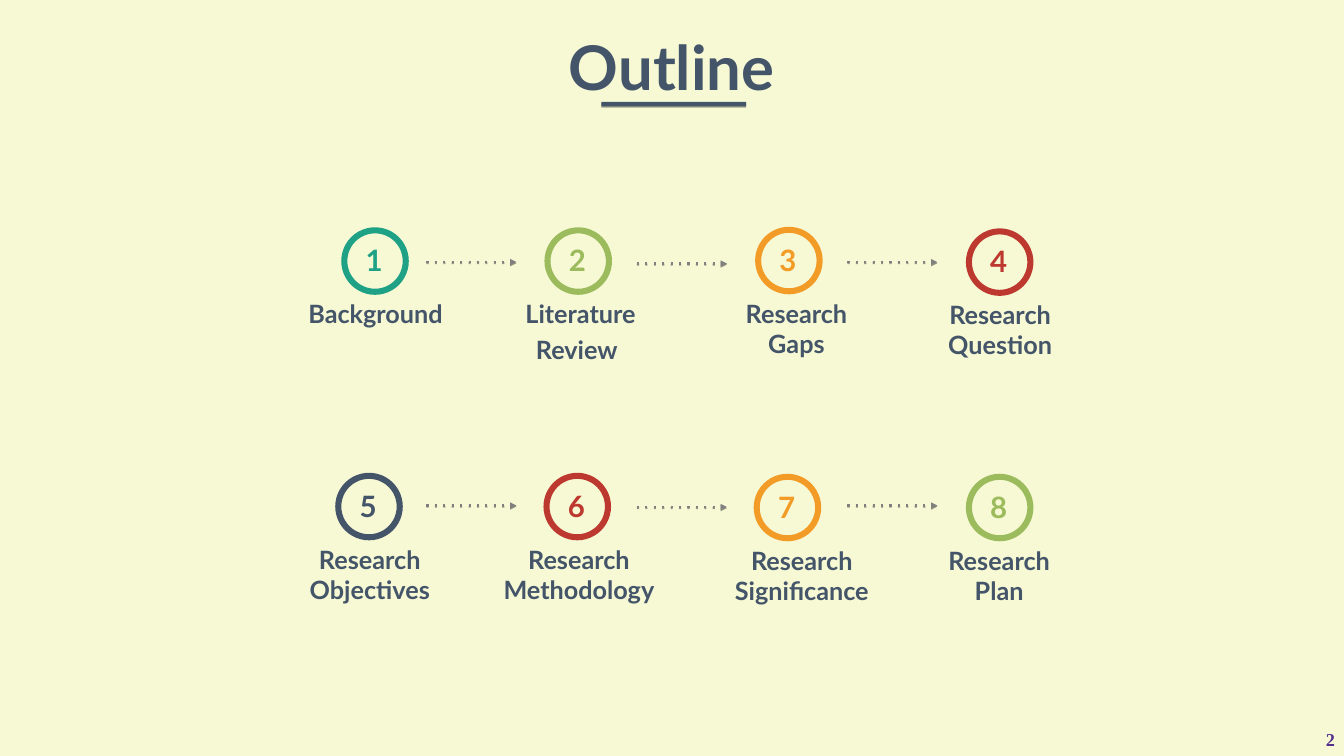
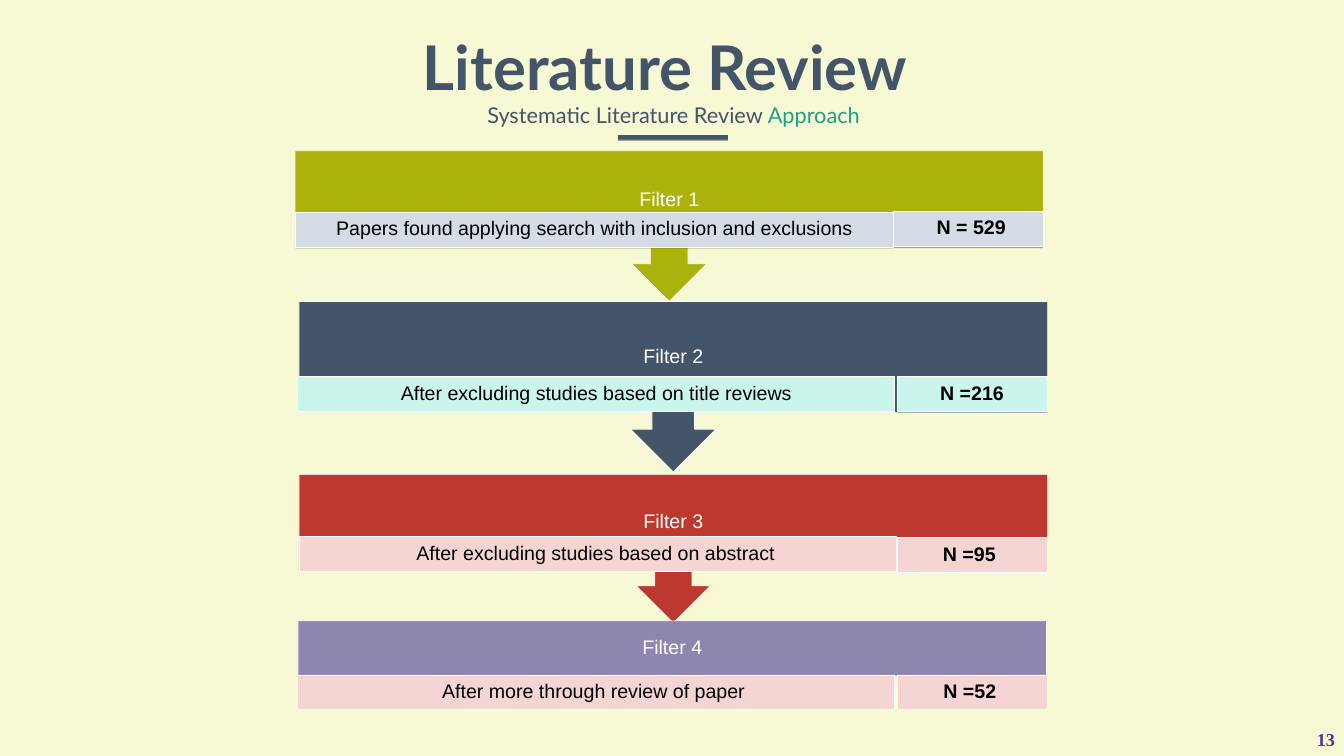
from lxml import etree
from pptx import Presentation
from pptx.dml.color import RGBColor
from pptx.enum.shapes import MSO_CONNECTOR, MSO_SHAPE
from pptx.enum.text import MSO_ANCHOR, PP_ALIGN
from pptx.oxml.ns import qn
from pptx.util import Pt

RECT = MSO_SHAPE.RECTANGLE
RING = MSO_SHAPE.DONUT
CALLOUT = MSO_SHAPE.DOWN_ARROW_CALLOUT
STRAIGHT = MSO_CONNECTOR.STRAIGHT
CENTER = PP_ALIGN.CENTER
RIGHT = PP_ALIGN.RIGHT
TOP = MSO_ANCHOR.TOP
MIDDLE = MSO_ANCHOR.MIDDLE

WIDTH, HEIGHT = 1919.52, 1080
MID = 959.4
HUES = {
    "cream": "F6F9D4", "slate": "445469", "violet": "55308D",
    "teal": "1EA185", "green": "9BBB5C", "orange": "F29B26",
    "red": "BD392F", "gray": "808080", "olive": "ACB20C",
    "mauve": "8E86AE", "white": "FFFFFF", "black": "000000",
    "pink": "F4D5D3", "mint": "C9F5EC", "mist": "D6DCE5",
}

# label, hue, ring left and top, label left and width
STEPS = [
    ("Background", "teal", 487.4, 324.7, 388.8, 295.2),
    ("Literature Review", "green", 777.6, 324.7, 694.1, 270),
    ("Research Gaps", "orange", 1078.5, 324, 1023.8, 227.5),
    ("Research Question", "red", 1379.5, 326.2, 1301, 254.9),
    ("Research\nObjectives", "slate", 478.8, 675.4, 375.8, 304.6),
    ("Research Methodology", "red", 776.2, 675.4, 678.2, 297.4),
    ("Research Significance", "orange", 1076.4, 676.8, 1005.1, 280.1),
    ("Research Plan", "green", 1379.5, 676.8, 1311.1, 231.8),
]
SIZE = 96.5

# name, hue, tint, callout (left, top, height), note (text, left, top, shade),
# count (text, left, top, shade)
FILTERS = [
    ("Filter 3", "red", "pink", (427, 677.5, 212.4),
     ("After excluding studies based on abstract ", 427.7, 766.8, False),
     ("N =95 ", 1280.9, 767.5, False)),
    ("Filter 2", "slate", "mint", (427, 430.6, 243.4),
     ("After excluding studies based on title reviews", 424.8, 537.8, False),
     ("N =216", 1280.9, 537.8, True)),
    ("Filter 1", "olive", "mist", (421.2, 215.3, 215.3),
     ("Papers found applying search with inclusion and exclusions",
      421.9, 303.1, True),
     (" N = 529", 1275.8, 301.7, False)),
    ("Filter 4", "mauve", "pink", (425.5, 887, 121),
     ("After more through review of paper ", 424.8, 964.1, False),
     ("N =52 ", 1281.6, 964.1, False)),
]


def color(hue):
    return RGBColor.from_string(HUES[hue])


def shade(shape, alpha=38, drop=1.6):
    """Give the shape a hard shadow straight below it."""
    props = shape.element.spPr
    effects = props.find(qn("a:effectLst"))
    if effects is None:
        effects = etree.SubElement(props, qn("a:effectLst"))
    cast = etree.SubElement(effects, qn("a:outerShdw"), blurRad="0",
                            dist=str(int(Pt(drop))), dir="5400000",
                            rotWithShape="0")
    tone = etree.SubElement(cast, qn("a:srgbClr"), val=HUES["black"])
    etree.SubElement(tone, qn("a:alpha"), val=str(alpha * 1000))


class Deck:
    def __init__(self):
        self.prs = Presentation()
        self.prs.slide_width = Pt(WIDTH)
        self.prs.slide_height = Pt(HEIGHT)
        self.slide = None

    def page(self, number, title, wide, rule):
        """Start a slide with its number, title and the rule below."""
        self.slide = self.prs.slides.add_slide(self.prs.slide_layouts[6])
        back = self.slide.background.fill
        back.solid()
        back.fore_color.rgb = color("cream")
        self.text(str(number), (1781.3, 1037.5, 132.5, 36), 26, "violet",
                  pad=(7.2, 3.6), face="Times New Roman", align=RIGHT)
        self.text(title, (MID - wide / 2, 38.2, wide, 112.3), 88, "slate",
                  pad=(7.2, 3.6))
        shade(self.shape(RECT, (*rule, 6.5), "slate"), 35, 1.8)

    def label(self, frame, text, size, hue, face, bold, pad,
              align=CENTER, anchor=TOP):
        """Style a text frame and return its last paragraph."""
        frame.word_wrap = True
        frame.vertical_anchor = anchor
        frame.margin_left = frame.margin_right = Pt(pad[0])
        frame.margin_top = frame.margin_bottom = Pt(pad[1])
        frame.text = text
        for para in frame.paragraphs:
            para.alignment = align
            para.font.size = Pt(size)
            para.font.name = face
            para.font.bold = bold
            para.font.color.rgb = color(hue)
        return para

    def text(self, text, box, size, hue, pad=(14.4, 7.2), face="Lato",
             bold=True, align=CENTER):
        """Add a text box and return its last paragraph."""
        frame = self.slide.shapes.add_textbox(*map(Pt, box)).text_frame
        return self.label(frame, text, size, hue, face, bold, pad, align)

    def shape(self, kind, box, hue, edge=0):
        shape = self.slide.shapes.add_shape(kind, *map(Pt, box))
        shape.shadow.inherit = False
        shape.fill.solid()
        shape.fill.fore_color.rgb = color(hue)
        if edge:
            shape.line.color.rgb = color("white")
            shape.line.width = Pt(edge)
        else:
            shape.line.fill.background()
        return shape

    def panel(self, kind, box, hue, text, ink="black", bold=False,
              pad=(15.8, 2.9), shaded=False):
        """Add a white-edged shape with a line of text in it."""
        shape = self.shape(kind, box, hue, 0.5 if shaded else 1)
        if shaded:
            shade(shape)
        para = self.label(shape.text_frame, text, 28, ink, "Arial", bold,
                          pad, anchor=MIDDLE)
        para.line_spacing = 0.9
        para.space_after = Pt(9.8)
        return shape

    def arrow(self, left, top, wide):
        line = self.slide.shapes.add_connector(
            STRAIGHT, Pt(left), Pt(top), Pt(left + wide), Pt(top))
        line.line.color.rgb = color("gray")
        line.line.width = Pt(3)
        stroke = line.element.spPr.find(qn("a:ln"))
        etree.SubElement(stroke, qn("a:prstDash"), val="dot")
        etree.SubElement(stroke, qn("a:tailEnd"), type="triangle")
        shade(line)

    def step(self, number, name, hue, left, top, start, wide):
        """Add a numbered ring with its label below."""
        ring = self.shape(RING, (left, top, SIZE, SIZE), hue)
        ring.adjustments[0] = 0.09
        self.text(str(number), (left + SIZE / 2 - 42, top + 14.5, 81.4, 64.8),
                  42, hue)
        return self.text(name, (start, top + 94.5, wide, 100.8), 36, "slate")


def outline(deck):
    deck.page(2, "Outline", 1648, (859, 145.4, 206.6))
    for number, step in enumerate(STEPS, 1):
        para = deck.step(number, *step)
        if number == 2:
            gap = para.add_run()
            gap.text = " "
            gap.font.size = Pt(44)
    for top in (374.4, 722.2):
        for col in range(3):
            deck.arrow(609.1 + 300.6 * col, top + 2.1 * (col == 1), 128.5)


def review(deck):
    deck.page(13, "Literature Review ", 1253.5, (882.7, 193, 157))
    para = deck.text("Systematic Literature Review ",
                     (370.8, 128.9, 1182.2, 65.5), 31, "slate",
                     pad=(17.3, 8.6), bold=False)
    para.line_spacing = 1.2
    para.space_before = Pt(6.2)
    run = para.add_run()
    run.text = "Approach"
    run.font.color.rgb = color("teal")

    for name, hue, tint, (left, top, high), note, count in FILTERS:
        box = deck.panel(CALLOUT, (left, top, 1069.2, high), hue, name,
                         "white", pad=(15.8, 15.8))
        for spot, value in enumerate((0.25, 0.25, 0.25, 0.65)):
            box.adjustments[spot] = value
        for cell, wide, bold in ((note, 853.2, False), (count, 214.6, True)):
            text, x, y, shaded = cell
            deck.panel(RECT, (x, y, wide, 49.7), tint, text, bold=bold,
                       shaded=shaded)


def main():
    deck = Deck()
    outline(deck)
    review(deck)
    deck.prs.save("out.pptx")


if __name__ == "__main__":
    main()
